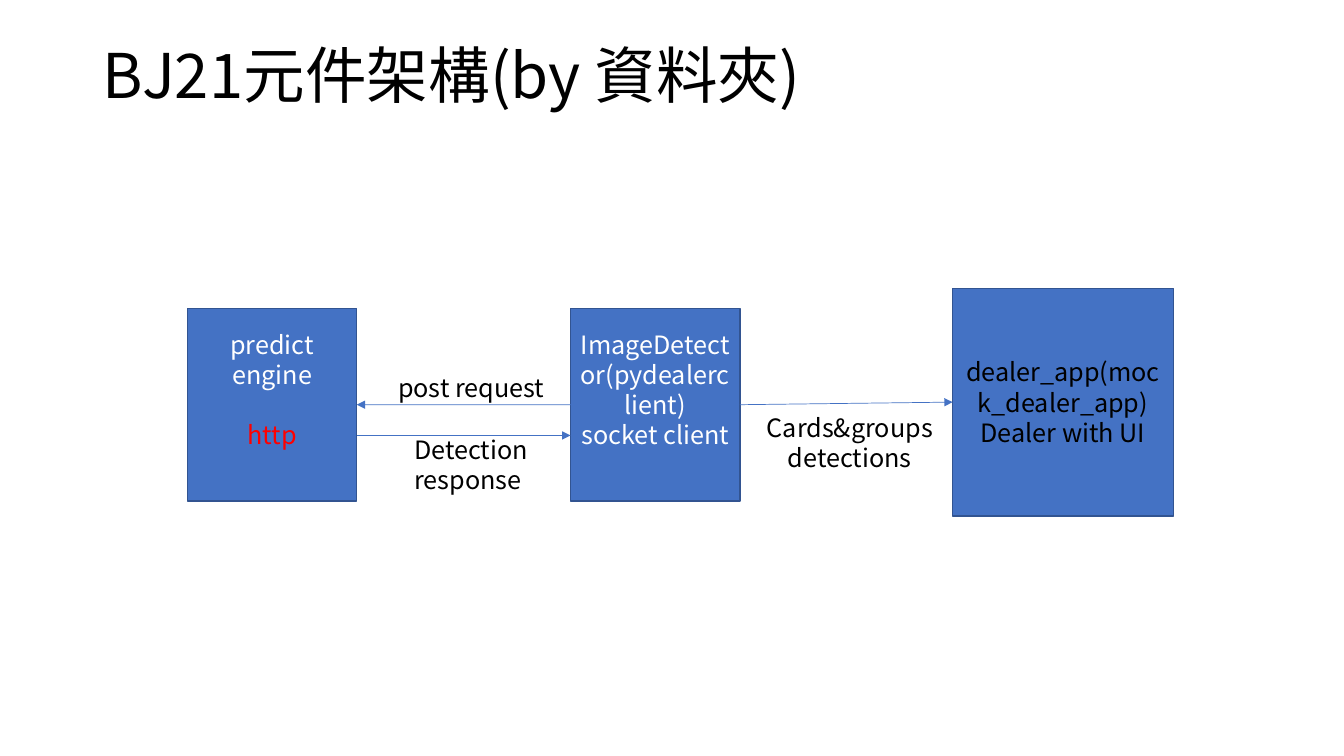
import dataclasses
import typing

import lxml.etree
import pptx
import pptx.dml.color
import pptx.enum.shapes
import pptx.enum.text
import pptx.oxml.ns
import pptx.util

SLIDE_WIDTH = pptx.util.Inches(13.333)
SLIDE_HEIGHT = pptx.util.Inches(7.5)
FONT = "Noto Sans CJK SC"
BODY_SIZE = 18
BODY_LINE = pptx.util.Pt(21.6)
COLORS = {
    "black": "000000",
    "white": "FFFFFF",
    "red": "FF0000",
    "blue": "4472C4",
    "outline": "325491",
}
LEFT = pptx.enum.text.PP_ALIGN.LEFT
CENTER = pptx.enum.text.PP_ALIGN.CENTER
TOP = pptx.enum.text.MSO_ANCHOR.TOP
MIDDLE = pptx.enum.text.MSO_ANCHOR.MIDDLE


@dataclasses.dataclass(frozen=True)
class Area:
    """Percent shares of the slide's width and height."""

    left: float
    top: float
    width: float
    height: float


@dataclasses.dataclass(frozen=True)
class Line:
    text: str
    color: str
    gap: bool = False


@dataclasses.dataclass(frozen=True)
class Component:
    name: str
    area: Area
    lines: tuple[Line, ...]
    raised: bool = False


@dataclasses.dataclass(frozen=True)
class Label:
    text: str
    area: Area
    align: typing.Any = LEFT


@dataclasses.dataclass(frozen=True)
class Arrow:
    start: tuple[float, float]
    end: tuple[float, float]
    begin_at: typing.Optional[tuple[str, int]] = None
    end_at: typing.Optional[tuple[str, int]] = None


TITLE = Label("BJ21元件架構(by 資料夾)", Area(6.9, 5.33, 86.25, 19.33))
COMPONENTS = (
    Component("dealer", Area(70.88, 38.13, 16.43, 30.13), (
        Line("dealer_app(mock_dealer_app)", "black"),
        Line("Dealer with UI", "black"),
    )),
    Component("predict", Area(13.95, 40.8, 12.6, 25.47), (
        Line("predict", "white"),
        Line("engine", "white"),
        Line("http", "red", gap=True),
    ), raised=True),
    Component("detector", Area(42.45, 40.8, 12.6, 25.47), (
        Line("ImageDetector(pydealerclient)", "white"),
        Line("socket client", "white"),
    ), raised=True),
)
ARROWS = (
    Arrow((55.05, 53.53), (70.88, 53.2), ("detector", 3), ("dealer", 1)),
    Arrow((26.55, 57.6), (42.45, 57.6)),
    Arrow((44.85, 53.53), (26.55, 53.53), end_at=("predict", 3)),
)
LABELS = (
    Label("post request", Area(28.88, 48.53, 13.88, 5.33)),
    Label("Detection response", Area(30.08, 56.8, 13.88, 9.47)),
    Label("Cards&groups detections", Area(56.18, 53.87, 14.1, 9.47), CENTER),
)


def across(share: float) -> int:
    return round(SLIDE_WIDTH * share / 100)


def down(share: float) -> int:
    return round(SLIDE_HEIGHT * share / 100)


def place(area: Area) -> tuple[int, int, int, int]:
    return across(area.left), down(area.top), across(area.width), down(area.height)


def rgb(name: str) -> pptx.dml.color.RGBColor:
    return pptx.dml.color.RGBColor.from_string(COLORS[name])


def write(paragraph, text: str, *, size: float = BODY_SIZE, color: str = "black",
          align=LEFT, line_spacing: float = 1.0, space_before: int = 0) -> None:
    paragraph.alignment = align
    paragraph.line_spacing = line_spacing
    paragraph.space_before = space_before
    run = paragraph.add_run()
    run.text = text
    run.font.name = FONT
    run.font.size = pptx.util.Pt(size)
    run.font.color.rgb = rgb(color)
    lxml.etree.SubElement(
        run.font._element, pptx.oxml.ns.qn("a:ea"), typeface=FONT)


def draw_label(slide, label: Label, grow: bool = True, **text_format):
    shape = slide.shapes.add_textbox(*place(label.area))
    frame = shape.text_frame
    frame.word_wrap = True
    frame.vertical_anchor = TOP
    if grow:
        frame.auto_size = pptx.enum.text.MSO_AUTO_SIZE.SHAPE_TO_FIT_TEXT
    write(frame.paragraphs[0], label.text, align=label.align, **text_format)
    return shape


def draw_component(slide, component: Component):
    shape = slide.shapes.add_shape(
        pptx.enum.shapes.MSO_SHAPE.RECTANGLE, *place(component.area))
    shape.shadow.inherit = False
    shape.fill.solid()
    shape.fill.fore_color.rgb = rgb("blue")
    shape.line.color.rgb = rgb("outline")
    shape.line.width = pptx.util.Pt(1)
    frame = shape.text_frame
    frame.word_wrap = True
    frame.vertical_anchor = MIDDLE
    if component.raised:
        frame.margin_bottom += BODY_LINE
    for index, line in enumerate(component.lines):
        paragraph = frame.add_paragraph() if index else frame.paragraphs[0]
        write(paragraph, line.text, color=line.color, align=CENTER,
              space_before=BODY_LINE if line.gap else 0)
    return shape


def draw_arrow(slide, arrow: Arrow, boxes: dict[str, typing.Any]) -> None:
    connector = slide.shapes.add_connector(
        pptx.enum.shapes.MSO_CONNECTOR.STRAIGHT,
        across(arrow.start[0]), down(arrow.start[1]),
        across(arrow.end[0]), down(arrow.end[1]))
    if arrow.begin_at:
        connector.begin_connect(boxes[arrow.begin_at[0]], arrow.begin_at[1])
    if arrow.end_at:
        connector.end_connect(boxes[arrow.end_at[0]], arrow.end_at[1])
    connector.line.color.rgb = rgb("blue")
    connector.line.width = pptx.util.Pt(0.5)
    properties = connector._element.spPr
    lxml.etree.SubElement(
        properties.find(pptx.oxml.ns.qn("a:ln")),
        pptx.oxml.ns.qn("a:tailEnd"), type="triangle")
    lxml.etree.SubElement(properties, pptx.oxml.ns.qn("a:effectLst"))


def main() -> None:
    presentation = pptx.Presentation()
    presentation.slide_width = SLIDE_WIDTH
    presentation.slide_height = SLIDE_HEIGHT
    slide = presentation.slides.add_slide(presentation.slide_layouts[6])
    draw_label(slide, TITLE, grow=False, size=44, line_spacing=0.9)
    boxes = {component.name: draw_component(slide, component)
             for component in COMPONENTS}
    for arrow in ARROWS:
        draw_arrow(slide, arrow, boxes)
    for label in LABELS:
        draw_label(slide, label)
    presentation.save("out.pptx")


if __name__ == "__main__":
    main()
